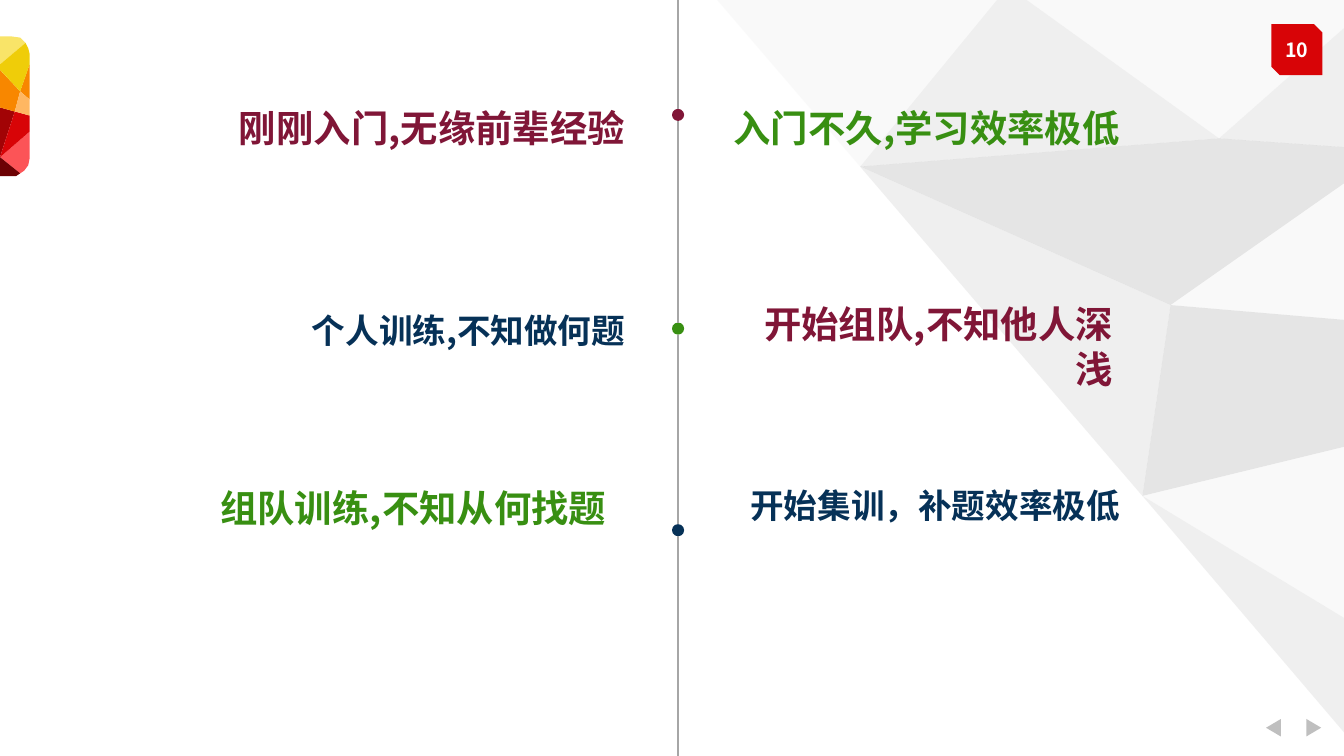
from pptx import Presentation
from pptx.dml.color import RGBColor
from pptx.enum.shapes import MSO_CONNECTOR, MSO_SHAPE
from pptx.enum.text import MSO_ANCHOR, MSO_AUTO_SIZE, PP_ALIGN
from pptx.oxml.ns import qn
from pptx.oxml.xmlchemy import OxmlElement
from pptx.util import Inches, Pt

LEFT, RIGHT, CENTER = PP_ALIGN.LEFT, PP_ALIGN.RIGHT, PP_ALIGN.CENTER
STRAIGHT = MSO_CONNECTOR.STRAIGHT
OVAL, TRIANGLE = MSO_SHAPE.OVAL, MSO_SHAPE.ISOSCELES_TRIANGLE
SNIPPED = MSO_SHAPE.SNIP_2_DIAG_RECTANGLE

FONT = "Noto Sans CJK SC"
WIDTH = 10
HEIGHT = WIDTH * 9 / 16
COLORS = {
    "white": "FFFFFF", "light": "F2F2F2", "mid": "D9D9D9", "dark": "BFBFBF",
    "line": "A6A6A6", "wine": "801637", "green": "388F12", "navy": "063157",
    "maroon": "6C0204", "crimson": "A20305", "red": "D80407", "coral": "FC5457",
    "orange": "F88700", "peach": "FFB762", "gold": "EFCD09", "lemon": "F9E468",
}

# Corner points of the grey mesh, from its top left
MESH_POINTS = {
    "A": (0, 0), "B": (2.25, 0), "C": (5.1, 0), "D": (3.82, 1.13),
    "E": (1.15, 1.34), "F": (5.1, 1.22), "G": (3.46, 2.37), "H": (5.1, 2.51),
    "I": (3.25, 3.79), "J": (5.1, 3.34), "K": (5.1, 4.91), "L": (5.1, 5.96),
}
MESH_FACETS = [
    ("BCD", "light"), ("DCF", "mid"), ("BDE", "mid"), ("EDFG", "dark"),
    ("EGI", "mid"), ("GFH", "light"), ("GHJI", "dark"), ("IJK", "light"),
    ("IKL", "mid"), ("ABE", "light"),
]

# Corner points of the coloured tab; a to f follow its rounded corners
TAB_POINTS = {
    "A": (0, 0), "B": (0.08, 0), "a": (0.15, 0.01), "C": (0.19, 0.05),
    "b": (0.21, 0.09), "D": (0.22, 0.13), "E": (0, 0.21), "F": (0.22, 0.21),
    "G": (0, 0.25), "H": (0.15, 0.41), "I": (0.22, 0.47), "J": (0, 0.53),
    "K": (0.11, 0.56), "L": (0.22, 0.59), "M": (0.22, 0.71), "N": (0, 0.9),
    "c": (0.22, 0.91), "d": (0.21, 0.96), "e": (0.18, 1), "O": (0.15, 1.02),
    "f": (0.12, 1.04), "P": (0.08, 1.04), "Q": (0, 1.04),
}
TAB_FACETS = [
    ("MNOedc", "coral"), ("KJN", "crimson"), ("KNML", "red"),
    ("NQPfO", "maroon"), ("ECaBA", "lemon"), ("FHI", "orange"),
    ("KHGJ", "orange"), ("GHFDbCE", "gold"), ("IHKL", "peach"),
]

# Box, text, size, colour, alignment
STATEMENTS = [
    ((0.79, 0.73, 3.96, 0.44), "刚刚入门,无缘前辈经验", 20, "wine", RIGHT),
    ((5.36, 0.73, 3.86, 0.44), "入门不久,学习效率极低", 20, "green", LEFT),
    ((0.79, 2.26, 3.96, 0.4), "个人训练,不知做何题", 18, "navy", RIGHT),
    ((5.32, 2.19, 3.06, 0.44), "开始组队,不知他人深浅", 20, "wine", RIGHT),
    ((1.54, 3.56, 3.08, 0.44), "组队训练,不知从何找题", 20, "green", LEFT),
    ((5.32, 3.56, 3.11, 0.71), "开始集训，补题效率极低", 18, "navy", RIGHT),
]
MILESTONES = [(0.81, "wine"), (2.4, "green"), (3.9, "navy")]


def rgb(name):
    return RGBColor.from_string(COLORS[name])


def paint(shape, color, opacity=None):
    shape.shadow.inherit = False
    shape.fill.solid()
    shape.fill.fore_color.rgb = rgb(color)
    shape.line.fill.background()
    if opacity is not None:
        alpha = OxmlElement("a:alpha")
        alpha.set("val", str(opacity * 1000))
        shape._element.spPr.find(".//" + qn("a:srgbClr")).append(alpha)


def add_preset(slide, kind, box, color):
    shape = slide.shapes.add_shape(kind, *map(Inches, box))
    paint(shape, color)
    return shape


def add_facets(slide, left, top, points, facets, opacity=None):
    for corners, color in facets:
        outline = [(Inches(left + points[c][0]), Inches(top + points[c][1]))
                   for c in corners]
        builder = slide.shapes.build_freeform(*outline[0])
        builder.add_line_segments(outline[1:], close=True)
        paint(builder.convert_to_shape(), color, opacity)


def add_text(slide, box, text, size, color, align, wrap=True):
    frame = slide.shapes.add_textbox(*map(Inches, box)).text_frame
    frame.word_wrap = wrap
    frame.auto_size = MSO_AUTO_SIZE.SHAPE_TO_FIT_TEXT
    frame.vertical_anchor = MSO_ANCHOR.TOP
    paragraph = frame.paragraphs[0]
    paragraph.text = text
    paragraph.alignment = align
    font = paragraph.font
    font.name, font.size, font.bold = FONT, Pt(size), True
    font.color.rgb = rgb(color)
    east_asian = OxmlElement("a:ea")
    east_asian.set("typeface", FONT)
    paragraph._p.pPr.find(qn("a:defRPr")).append(east_asian)


def add_page_controls(slide, left, width):
    # Page number badge
    add_preset(slide, SNIPPED, (left, 0.18, width, width), "red")
    add_text(slide, (left, 0.23, width, 0.28), "10", 10.5, "white", CENTER, False)
    # Back and forward arrows
    for x, angle in ((left - 0.05, 270), (left + width - 0.13, 90)):
        add_preset(slide, TRIANGLE, (x, 5.36, 0.13, 0.11), "dark").rotation = angle


def add_timeline(slide, left, top, bottom, dot):
    center = left + dot / 2

    def add_segment(start, end):
        segment = slide.shapes.add_connector(
            STRAIGHT, *map(Inches, (center, start, center, end)))
        segment.line.color.rgb = rgb("line")
        segment.line.width = Pt(0.75)
        segment._element.spPr.append(OxmlElement("a:effectLst"))
        return segment

    previous = top
    for y, color in MILESTONES:
        milestone = add_preset(slide, OVAL, (left, y, dot, dot), color)
        add_segment(previous, y).end_connect(milestone, 0)
        previous = y + dot
    add_segment(previous, bottom)


def main():
    prs = Presentation()
    prs.slide_width, prs.slide_height = Inches(WIDTH), Inches(HEIGHT)
    slide = prs.slides.add_slide(prs.slide_layouts[6])
    slide.background.fill.solid()
    slide.background.fill.fore_color.rgb = rgb("white")

    # Backdrop
    add_facets(slide, 5.25, -0.1, MESH_POINTS, MESH_FACETS, opacity=40)
    add_page_controls(slide, 9.46, 0.38)
    # Timeline with statements on both sides
    add_timeline(slide, WIDTH / 2, -0.42, 5.7, 0.09)
    for statement in STATEMENTS:
        add_text(slide, *statement)
    # Tab on the left edge
    add_facets(slide, 0, 0.27, TAB_POINTS, TAB_FACETS)

    prs.save("out.pptx")


if __name__ == "__main__":
    main()
